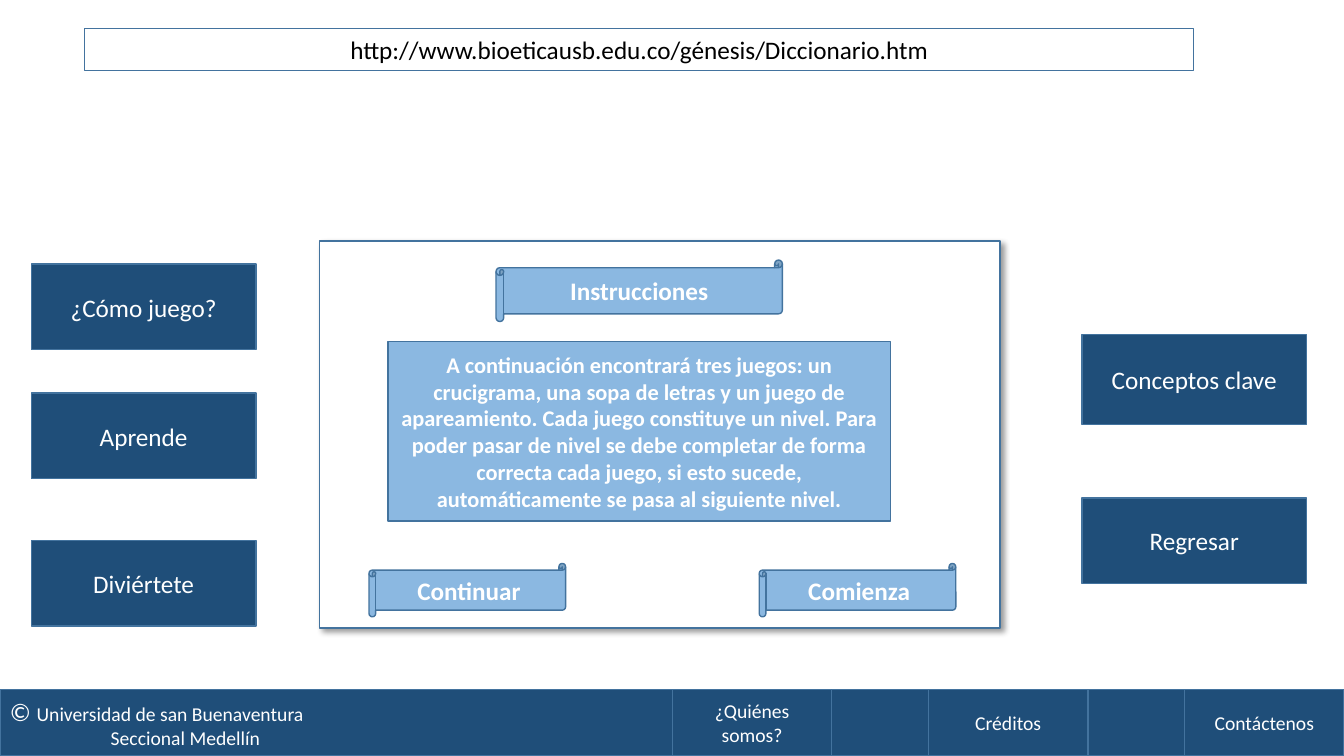
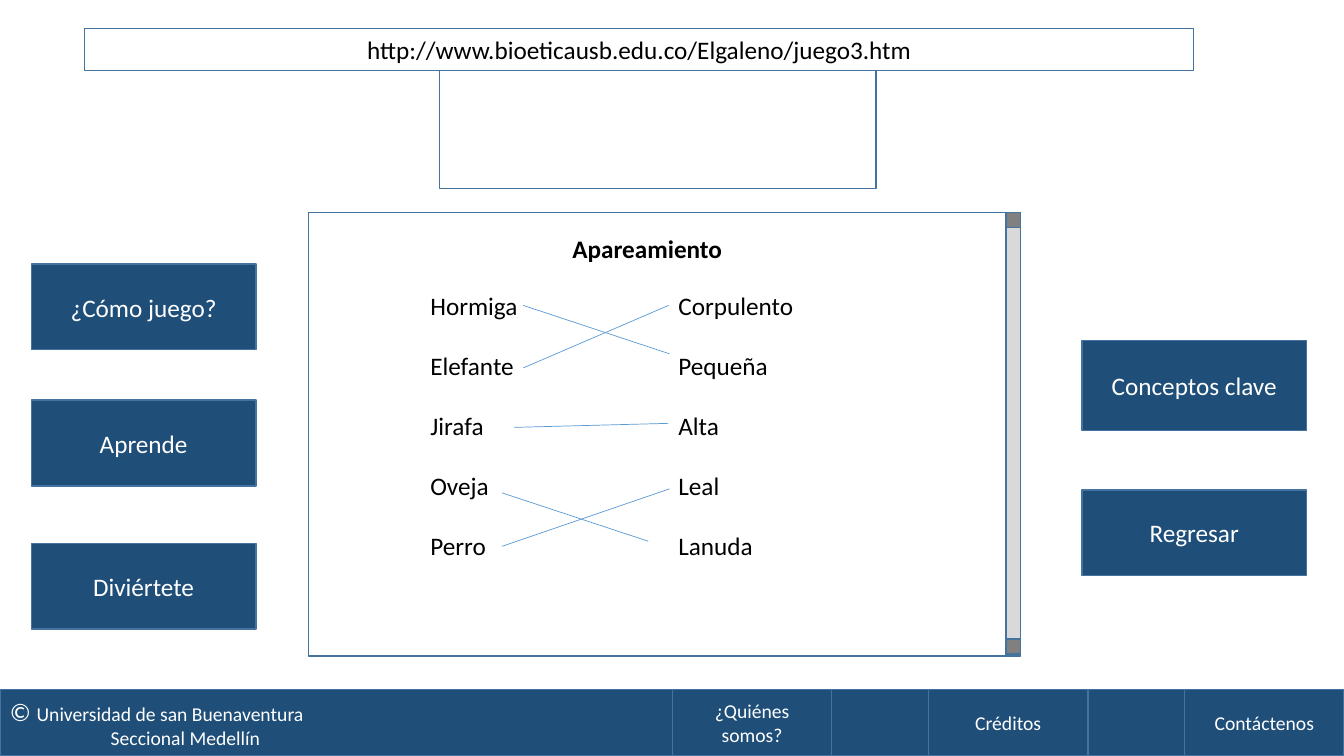
from lxml import etree
from pptx import Presentation
from pptx.dml.color import RGBColor
from pptx.enum import shapes, text
from pptx.oxml import ns
from pptx.util import Inches, Pt

NAVY = RGBColor(0x1F, 0x4E, 0x79)
EDGE = RGBColor(0x43, 0x73, 0x9E)
BLUE = RGBColor(0x5B, 0x9B, 0xD5)
WHITE = RGBColor(0xFF, 0xFF, 0xFF)
BLACK = RGBColor(0, 0, 0)
TRACK = RGBColor(0xD9, 0xD9, 0xD9)
ARROW = RGBColor(0x80, 0x80, 0x80)

FONT = "Calibri"
RECT = shapes.MSO_SHAPE.RECTANGLE
SCROLL = shapes.MSO_SHAPE.HORIZONTAL_SCROLL
LEFT, CENTER = text.PP_ALIGN.LEFT, text.PP_ALIGN.CENTER
MENU_W, MENU_H, MENU_LEFT, MENU_RIGHT = 2.23, 0.85, 0.31, 10.73
FOOT_TOP, FOOT_H, FOOT_CELL = 6.84, 0.66, 1.58


def inches(*lengths):
    return [Inches(n) for n in lengths]


def add_child(parent, tag, **attributes):
    child = etree.SubElement(parent, ns.qn(tag))
    for name, value in attributes.items():
        child.set(name, str(value))
    return child


def add_run(p, words, size=18, color=WHITE, bold=False):
    r = p.add_run()
    r.text = words
    r.font.name, r.font.size, r.font.bold = FONT, Pt(size), bold
    r.font.color.rgb = color


def write(tf, *lines, align=CENTER, gap=0, anchor=text.MSO_ANCHOR.MIDDLE, **style):
    """Fill a text frame, one paragraph a line, with gap points between them."""
    tf.word_wrap = True
    tf.auto_size = text.MSO_AUTO_SIZE.NONE
    tf.vertical_anchor = anchor
    for i, line in enumerate(lines):
        p = tf.add_paragraph() if i else tf.paragraphs[0]
        p.alignment = align
        p.space_before = Pt(gap if i else 0)
        add_run(p, line, **style)


class Screen:
    """One page of the site: the style and the slide being drawn."""

    def __init__(self, prs):
        self.s = prs.slides.add_slide(prs.slide_layouts[5])

    def box(self, at, words="", fill=NAVY, shape=RECT, alpha=None, parent=None, **style):
        sp = (parent or self.s).shapes.add_shape(shape, *inches(*at))
        sp.shadow.inherit = False
        sp.fill.solid()
        sp.fill.fore_color.rgb = fill
        if alpha:
            color = sp._element.spPr.find(".//" + ns.qn("a:srgbClr"))
            add_child(color, "a:alpha", val=alpha * 1000)
        sp.line.color.rgb = EDGE
        sp.line.width = Pt(1)
        if words:
            write(sp.text_frame, words, **style)
        return sp

    def banner(self, at, words="", shape=SCROLL, **style):
        return self.box(at, words, BLUE, shape, alpha=70, bold=True, **style)

    def panel(self, at, shadow=False):
        sp = self.box(at, fill=WHITE)
        if shadow:
            effects = sp._element.spPr.find(ns.qn("a:effectLst"))
            outer = add_child(effects, "a:outerShdw", blurRad=Pt(4), dist=Pt(3),
                              dir=45 * 60000, algn="tl", rotWithShape=0)
            color = add_child(outer, "a:srgbClr", val=BLACK)
            add_child(color, "a:alpha", val=40000)

    def title(self, at, words, color):
        """Place the title placeholder in front of what is already drawn."""
        sp = self.s.shapes.title
        sp.left, sp.top, sp.width, sp.height = inches(*at)
        write(sp.text_frame, words, color=color, bold=True)
        self.s.shapes._spTree.append(sp._element)

    def address(self, url):
        self.box((0.84, 0.28, 11, 0.42), url, WHITE, color=BLACK)

    def menu(self, left_tops, right_tops):
        for words, top in zip(("¿Cómo juego?", "Aprende", "Diviértete"), left_tops):
            self.box((MENU_LEFT, top, MENU_W, MENU_H), words)
        for words, top, height in zip(("Conceptos clave", "Regresar"), right_tops,
                                      (0.89, MENU_H)):
            self.box((MENU_RIGHT, top, MENU_W, height), words)

    def word_list(self, at, words):
        sp = self.s.shapes.add_textbox(*inches(*at))
        write(sp.text_frame, *words, align=LEFT, gap=21.3, color=BLACK,
              anchor=text.MSO_ANCHOR.TOP)

    def match(self, *ends):
        line = self.s.shapes.add_connector(shapes.MSO_CONNECTOR.STRAIGHT, *inches(*ends))
        line.line.color.rgb = BLUE
        line.line.width = Pt(0.5)
        add_child(line._element.spPr, "a:effectLst")

    def scrollbar(self, left, top, height):
        group = self.s.shapes.add_group_shape()
        self.box((left, top, 0.14, height), fill=TRACK, parent=group)
        for y in (top, top + height - 0.17):
            self.box((left, y, 0.14, 0.15), fill=ARROW, parent=group)

    def footer(self):
        group = self.s.shapes.add_group_shape()
        bar = self.box((0, FOOT_TOP, 13.33, FOOT_H), "© ", parent=group, align=LEFT)
        tf = bar.text_frame
        add_run(tf.paragraphs[0], "Universidad de san Buenaventura", size=14)
        p = tf.add_paragraph()
        p.alignment = LEFT
        p._p.get_or_add_pPr().set("marL", str(Inches(1)))
        add_run(p, "Seccional Medellín", size=14)
        for i, words in enumerate(("¿Quiénes somos?", "Créditos", "Contáctenos")):
            self.box((6.67 + 2.54 * i, FOOT_TOP, FOOT_CELL, FOOT_H), words,
                     parent=group, size=14)


def instructions(prs):
    page = Screen(prs)
    page.address("http://www.bioeticausb.edu.co/génesis/Diccionario.htm")
    page.menu((2.62, 3.9, 5.36), (3.32, 4.94))
    page.panel((3.17, 2.39, 6.75, 3.84), shadow=True)
    heading = (4.92, 2.58, 2.84, 0.61)
    page.banner(heading)
    page.title(heading, "Instrucciones", WHITE)
    page.banner((3.85, 3.39, 4.98, 1.78),
                "A continuación encontrará tres juegos: un crucigrama, una sopa de "
                "letras y un juego de apareamiento. Cada juego constituye un nivel. "
                "Para poder pasar de nivel se debe completar de forma correcta cada "
                "juego, si esto sucede, automáticamente se pasa al siguiente nivel.",
                RECT, size=16)
    for left, words in ((3.66, "Continuar"), (7.53, "Comienza")):
        page.banner((left, 5.59, 1.95, 0.53), words)
    page.footer()


def matching_game(prs):
    page = Screen(prs)
    page.address("http://www.bioeticausb.edu.co/Elgaleno/juego3.htm")
    page.panel((4.36, 0.7, 4.33, 1.17))
    page.menu((2.62, 3.97, 5.39), (3.38, 4.86))
    page.panel((3.06, 2.11, 6.93, 4.4))
    page.scrollbar(9.98, 2.11, 4.4)
    page.word_list((4.17, 2.83, 1.34, 2.83),
                   ("Hormiga", "Elefante", "Jirafa", "Oveja", "Perro"))
    page.word_list((6.63, 2.83, 1.34, 2.83),
                   ("Corpulento", "Pequeña", "Alta", "Leal", "Lanuda"))
    for ends in ((6.63, 3.03, 5.19, 3.65), (6.64, 3.51, 5.19, 3.03),
                 (6.63, 4.2, 5.1, 4.24), (6.43, 5.37, 4.98, 4.89),
                 (6.64, 4.85, 4.98, 5.42)):
        page.match(*ends)
    page.title((4.51, 2.26, 3.82, 0.4), "Apareamiento", BLACK)
    page.footer()


def main():
    prs = Presentation()
    prs.slide_width, prs.slide_height = inches(13.33, 7.5)
    instructions(prs)
    matching_game(prs)
    prs.save("out.pptx")


if __name__ == "__main__":
    main()
